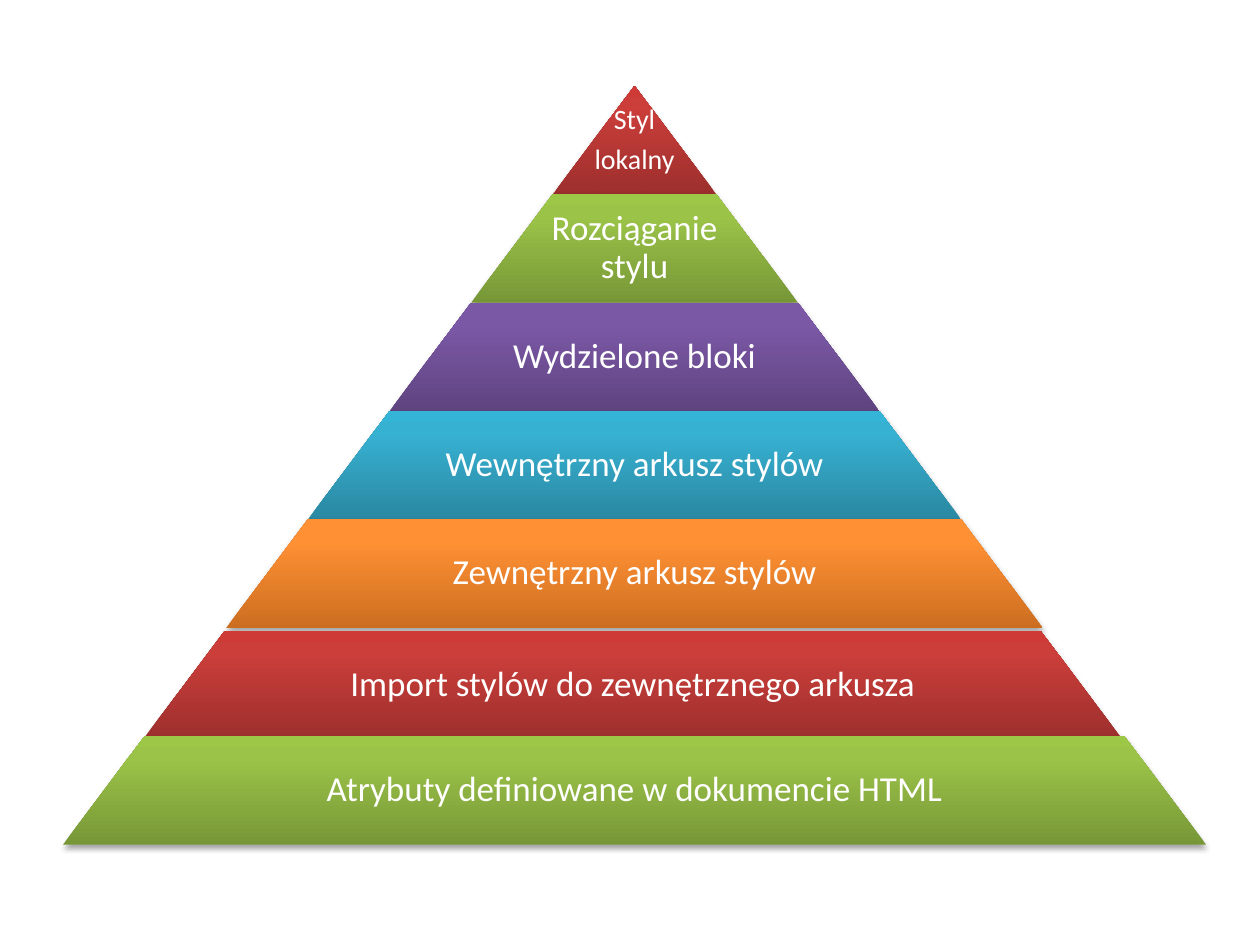
from copy import deepcopy

from lxml.etree import SubElement
from pptx import Presentation
from pptx.dml.color import RGBColor
from pptx.enum.shapes import MSO_SHAPE as Shape
from pptx.enum.text import MSO_ANCHOR as Anchor, PP_ALIGN as Align
from pptx.oxml.ns import qn
from pptx.util import Pt

THEME = {
    "font": "Calibri",
    "text": "FFFFFF",
    "shadow": "000000",
    "size": 20,
    "apex_size": 16,
    # gradient colours from the bottom edge to the top edge
    "red": ("9C2F2D", "CB3E3A", "CE3B37"),
    "green": ("779737", "9BC348", "9DC746"),
    "purple": ("5F4480", "7B58A6", "7C57A8"),
    "blue": ("2A88A2", "37B1D2", "34B4D6"),
    "orange": ("CC6E20", "FF9034", "FF9136"),
}
STOPS = (0, 0.8, 1)

# paragraphs, colour, offset (x, y) from the regular place
LEVELS = [
    (["Styl", "lokalny"], "red", (0, 0)),
    (["Rozciąganie stylu"], "green", (0, 0)),
    (["Wydzielone bloki"], "purple", (0, 0)),
    (["Wewnętrzny arkusz stylów"], "blue", (0, 0)),
    (["Zewnętrzny arkusz stylów"], "orange", (0, 0)),
    (["Import stylów do zewnętrznego arkusza"], "red", (-1, 2)),
    (["Atrybuty definiowane w dokumencie HTML"], "green", (0, 0)),
]

CENTER, TOP = 362.6, 49
STEP_W, LEVEL_H = 93.3, 61.95
SLOPE = STEP_W / 2 / LEVEL_H
LABEL_SHARE = 0.65


def add_shadow(sp):
    sp.shadow.inherit = False
    effects = sp._element.spPr.find(qn("a:effectLst"))
    shadow = SubElement(effects, qn("a:outerShdw"), blurRad=str(Pt(3.1)),
                        dist=str(Pt(1.8)), dir="5400000", rotWithShape="0")
    color = SubElement(shadow, qn("a:srgbClr"), val=THEME["shadow"])
    SubElement(color, qn("a:alpha"), val="35000")


def fill_gradient(sp, colors):
    sp.fill.gradient()
    sp.fill.gradient_angle = 90
    stops = sp._element.spPr.find(".//" + qn("a:gsLst"))
    stops.append(deepcopy(stops[0]))
    for stop, position, color in zip(sp.fill.gradient_stops, STOPS, colors):
        stop.position = position
        stop.color.rgb = RGBColor.from_string(color)


def add_band(slide, left, top, width, colors):
    sp = slide.shapes.add_shape(Shape.TRAPEZOID, Pt(left), Pt(top), Pt(width), Pt(LEVEL_H))
    sp.adjustments[0] = SLOPE
    sp.line.fill.background()
    fill_gradient(sp, colors)
    add_shadow(sp)


def add_label(slide, left, top, width, lines, size):
    tf = slide.shapes.add_textbox(Pt(left), Pt(top), Pt(width), Pt(LEVEL_H)).text_frame
    inset = Pt(size / 10)
    frame = {"word_wrap": True, "vertical_anchor": Anchor.MIDDLE,
             "margin_left": inset, "margin_right": inset,
             "margin_top": inset, "margin_bottom": inset}
    for name, value in frame.items():
        setattr(tf, name, value)
    for i, line in enumerate(lines):
        p = tf.add_paragraph() if i else tf.paragraphs[0]
        p.alignment, p.line_spacing, p.space_after = Align.CENTER, 0.9, Pt(0.35 * size)
        r = p.add_run()
        r.text = line
        r.font.name, r.font.size = THEME["font"], Pt(size)
        r.font.color.rgb = RGBColor.from_string(THEME["text"])


def main():
    prs = Presentation()
    prs.slide_width, prs.slide_height = Pt(720), Pt(540)
    slide = prs.slides.add_slide(prs.slide_layouts[6])
    for i, (lines, color, (dx, dy)) in enumerate(LEVELS):
        center, top = CENTER + dx, TOP + i * LEVEL_H + dy
        width = (i + 1) * STEP_W
        label_w = width * LABEL_SHARE if i else width
        size = THEME["size" if i else "apex_size"]
        add_band(slide, center - width / 2, top, width, THEME[color])
        add_label(slide, center - label_w / 2, top, label_w, lines, size)
    prs.save("out.pptx")


if __name__ == "__main__":
    main()
